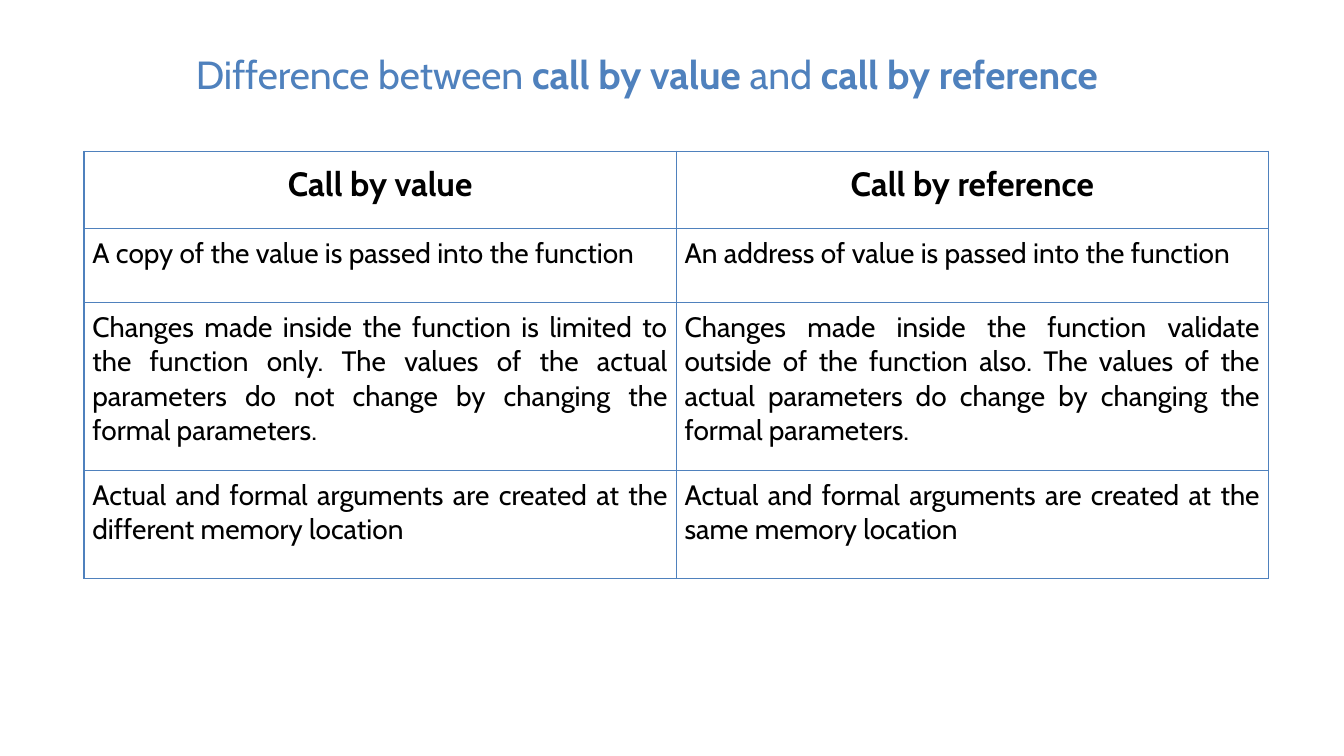
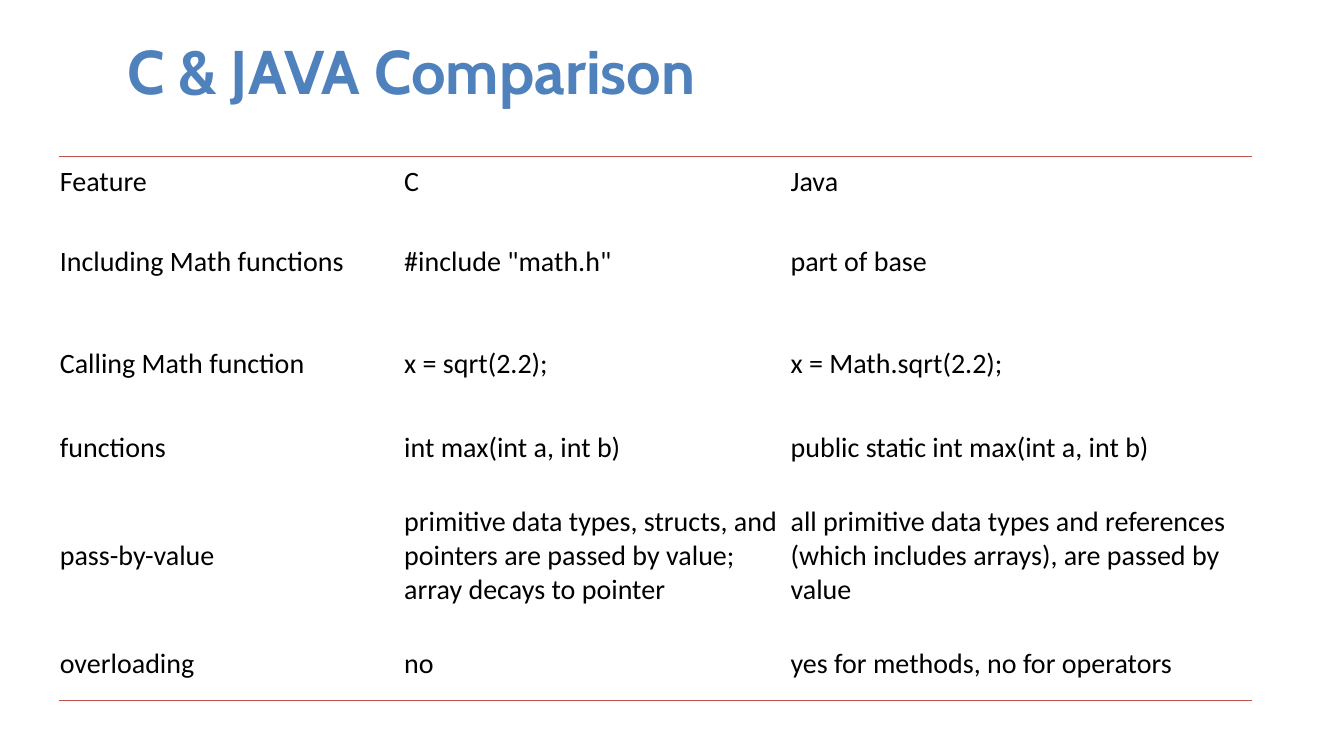
import pptx
import pptx.util
import pptx.dml.color
import pptx.enum.text
import pptx.oxml
import pptx.oxml.ns

Pt = pptx.util.Pt
RGB = pptx.dml.color.RGBColor.from_string
ALIGN = pptx.enum.text.PP_ALIGN
ANCHOR = pptx.enum.text.MSO_ANCHOR
HUES = {"blue": "4F81BD", "red": "C0504D", "ink": "000000"}
HEAD, BODY = "Cabin", "Calibri"
PLAIN = "{2D5ABB26-0587-4C30-8999-92F81FD0307C}"  # table style without grid

deck = pptx.Presentation()
deck.slide_width, deck.slide_height = Pt(960), Pt(540)


def start(runs, width, height, size):
    """Add a slide whose title is made of (text, bold) runs."""
    slide = deck.slides.add_slide(deck.slide_layouts[5])
    title = slide.shapes.title
    title.left, title.top = Pt(48), Pt(21.6)
    title.width, title.height = Pt(width), Pt(height)
    title.text_frame.vertical_anchor = ANCHOR.MIDDLE
    para = title.text_frame.paragraphs[0]
    para.alignment = ALIGN.CENTER
    para.font.name, para.font.size = HEAD, Pt(size)
    para.font.color.rgb = RGB(HUES["blue"])
    for text, bold in runs:
        run = para.add_run()
        run.text, run.font.bold = text, bold
    return slide


def grid(slide, left, top, widths, heights, texts, style):
    """Add a table; style(row) gives font, size, bold, align, anchor,
    margins (left, top, right, bottom), border sides and border hue."""
    frame = slide.shapes.add_table(len(heights), len(widths), Pt(left), Pt(top),
                                   Pt(sum(widths)), Pt(sum(heights)))
    table = frame.table
    table.first_row = table.horz_banding = False
    table._tbl.tblPr.find(pptx.oxml.ns.qn("a:tableStyleId")).text = PLAIN
    for col, width in zip(table.columns, widths):
        col.width = Pt(width)
    for r, height in enumerate(heights):
        table.rows[r].height = Pt(height)
        font, size, bold, align, anchor, pads, sides, hue = style(r)
        for c, text in enumerate(texts[r]):
            cell = table.cell(r, c)
            cell.text = text
            cell.fill.background()
            cell.vertical_anchor = anchor
            (cell.margin_left, cell.margin_top,
             cell.margin_right, cell.margin_bottom) = map(Pt, pads)
            para = cell.text_frame.paragraphs[0]
            para.alignment = align
            para.font.name, para.font.size, para.font.bold = font, Pt(size), bold
            para.font.color.rgb = RGB(HUES["ink"])
            props = cell._tc.get_or_add_tcPr()
            for n, side in enumerate(sides):
                props.insert(n, pptx.oxml.parse_xml(
                    f'<a:ln{side} {pptx.oxml.ns.nsdecls("a")} w="{Pt(1)}"><a:solidFill>'
                    f'<a:srgbClr val="{HUES[hue]}"/></a:solidFill></a:ln{side}>'))


# Slide 1: call by value and call by reference
slide = start([("Difference between ", False), ("call by value ", True),
               ("and", False), (" call by reference", True)], 828, 62.6, 28)
calls = [
    ("Call by value", "Call by reference"),
    ("A copy of the value is passed into the function",
     "An address of value is passed into the function"),
    ("Changes made inside the function is limited to the function only. The values "
     "of the actual parameters do not change by changing the formal parameters.",
     "Changes made inside the function validate outside of the function also. The "
     "values of the actual parameters do change by changing the formal parameters."),
    ("Actual and formal arguments are created at the different memory location",
     "Actual and formal arguments are created at the same memory location"),
]
top_row = (HEAD, 24, True, ALIGN.CENTER, ANCHOR.TOP, (9, 9, 9, 9), "LRTB", "blue")
text_row = (HEAD, 20, False, ALIGN.JUSTIFY, ANCHOR.TOP, (6, 6, 6, 6), "LRTB", "blue")
grid(slide, 60, 108, [423, 423], [55, 53, 120, 77], calls,
     lambda r: text_row if r else top_row)

# Slide 2: C and Java, ruled above and below
slide = start([("C & JAVA Comparison", True)], 492, 56, 44)
langs = [
    ("Feature", "C", "Java"),
    ("Including Math functions", '#include "math.h"', "part of base"),
    ("Calling Math function", "x = sqrt(2.2);", "x = Math.sqrt(2.2);"),
    ("functions", "int max(int a, int b)", "public static int max(int a, int b)"),
    ("pass-by-value",
     "primitive data types, structs, and pointers are passed by value; "
     "array decays to pointer",
     "all primitive data types and references (which includes arrays), "
     "are passed by value"),
    ("overloading", "no", "yes for methods, no for operators"),
]
rules = {0: "T", len(langs) - 1: "B"}
grid(slide, 42, 111.6, [246, 276, 330], [35.3, 79.2, 67, 53.3, 100.8, 53.3], langs,
     lambda r: (BODY, 20, False, ALIGN.LEFT, ANCHOR.MIDDLE, (0.75, 0.75, 0.75, 0),
                rules.get(r, ""), "red"))

deck.save("out.pptx")
